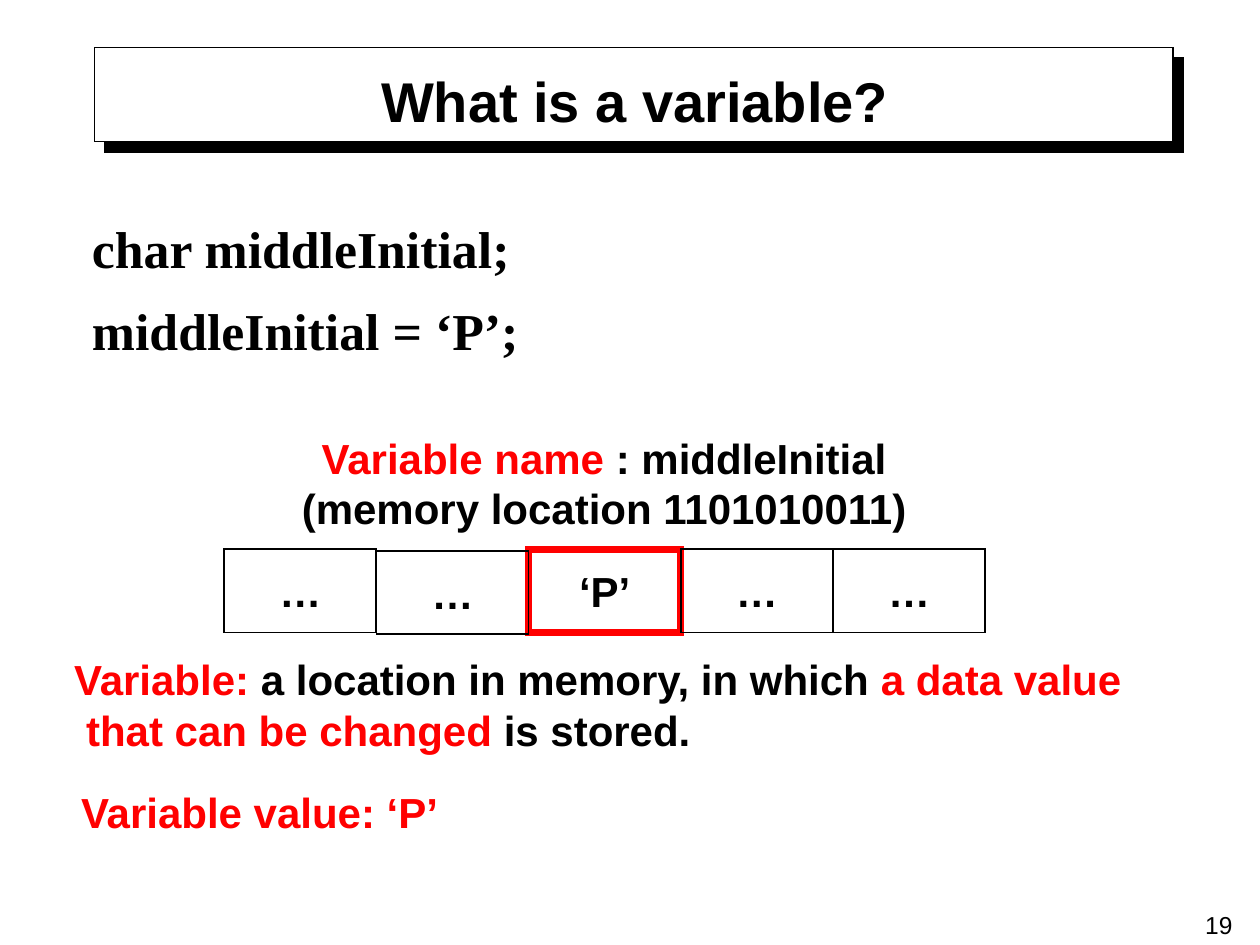
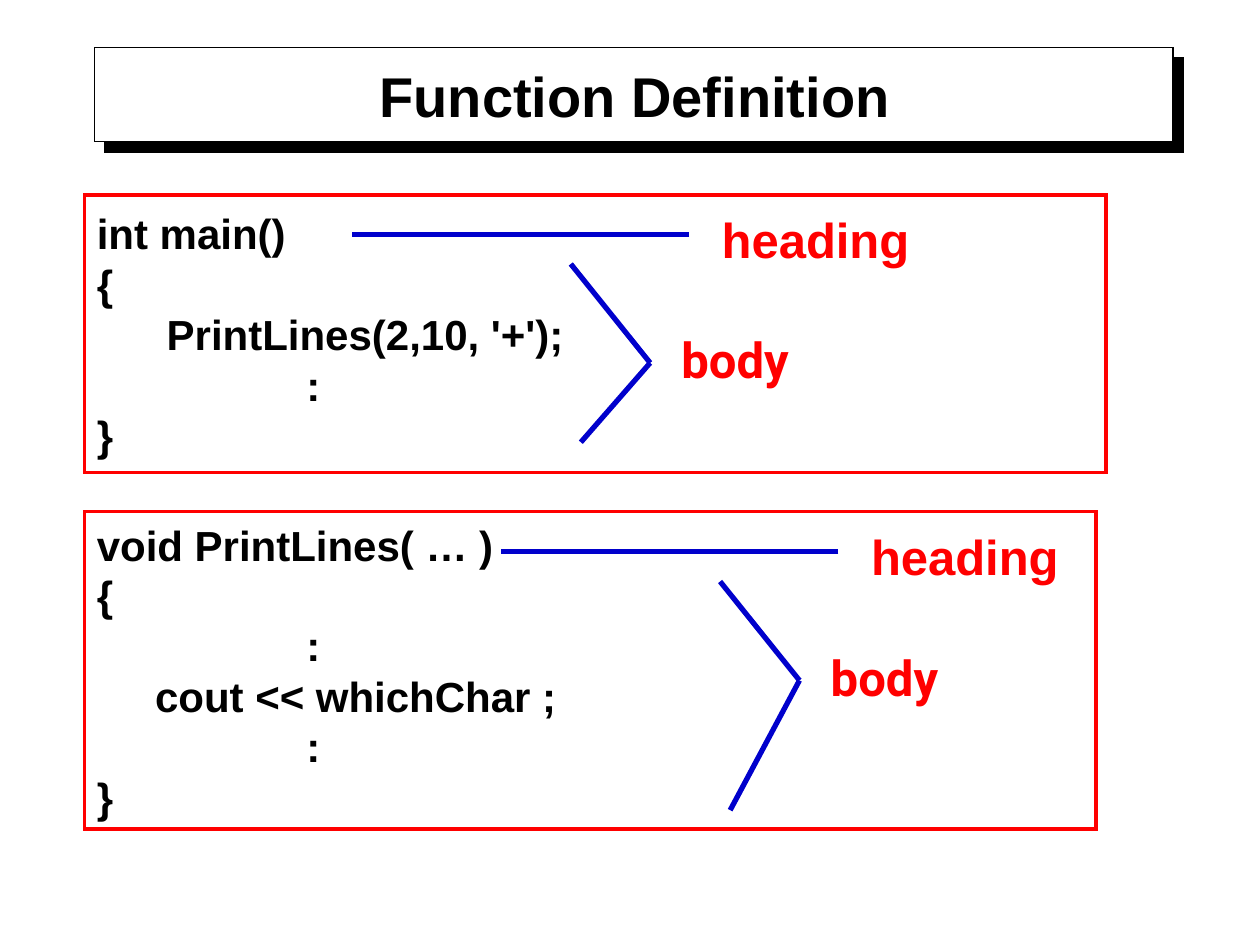
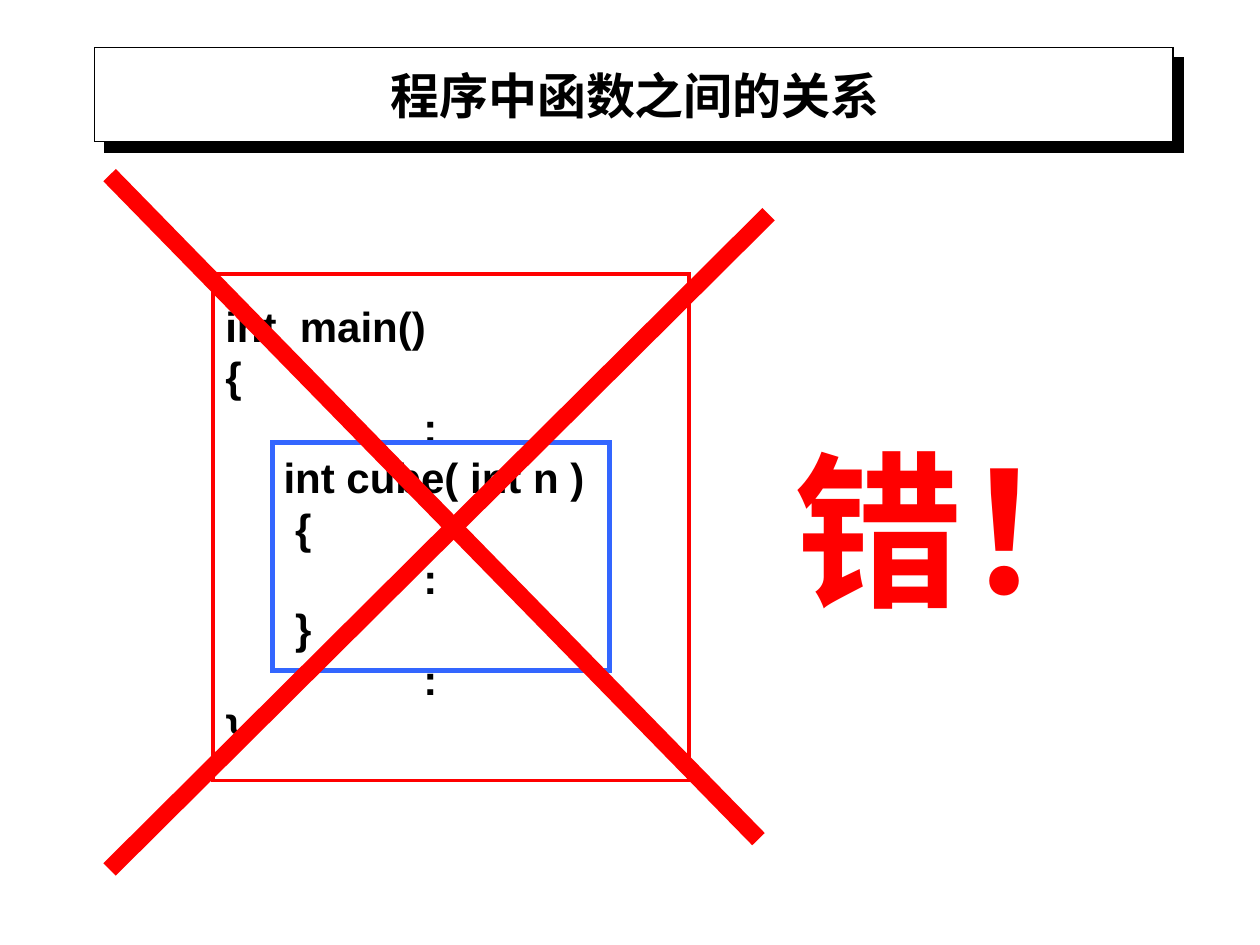
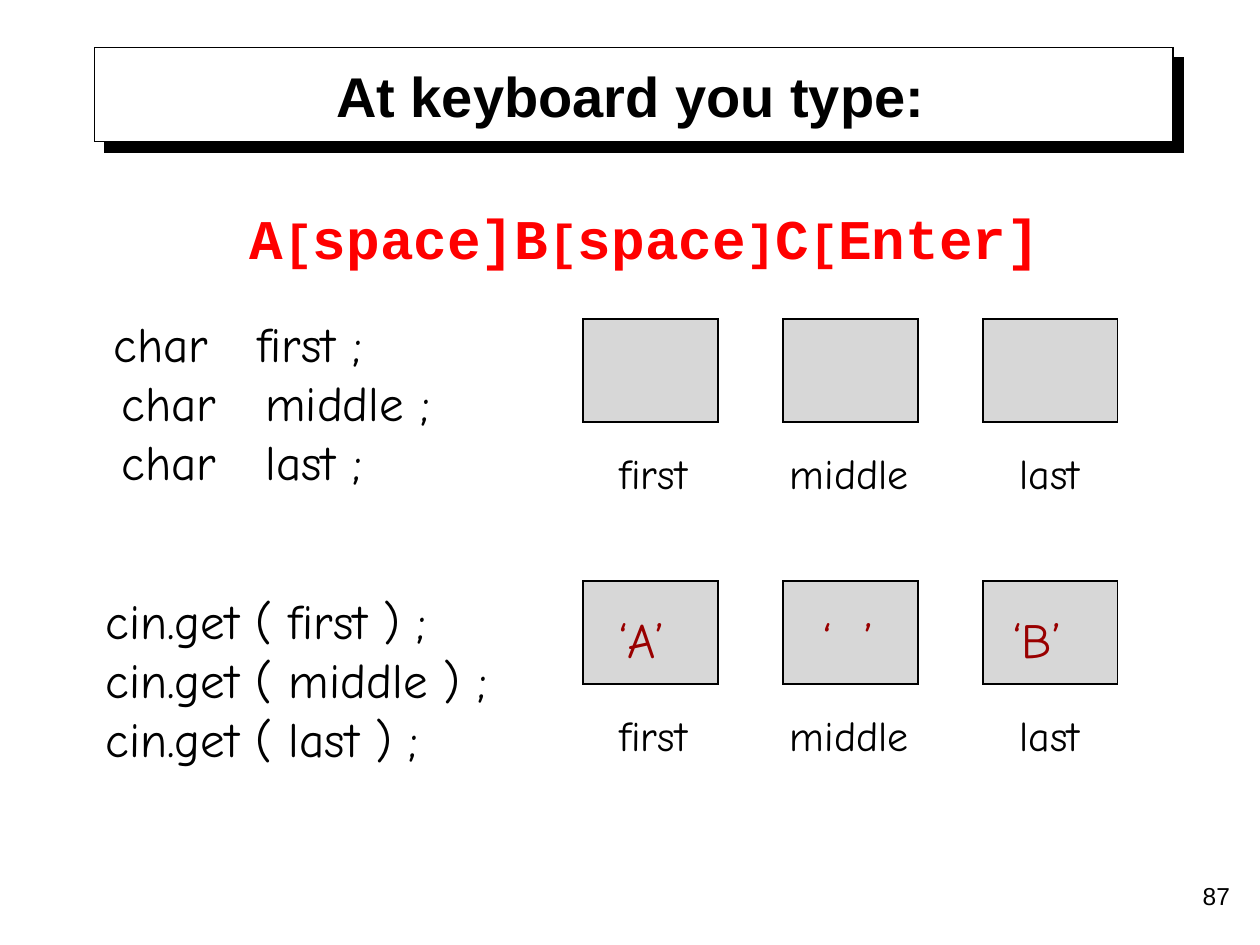
from dataclasses import dataclass, field, replace
from typing import NamedTuple, Optional

import lxml.etree
import pptx
import pptx.dml.color
import pptx.enum.shapes
import pptx.enum.text
import pptx.oxml.ns
import pptx.util

ALIGN = pptx.enum.text.PP_ALIGN
ANCHOR = pptx.enum.text.MSO_ANCHOR
FIT = pptx.enum.text.MSO_AUTO_SIZE
RECT = pptx.enum.shapes.MSO_SHAPE.RECTANGLE
STRAIGHT = pptx.enum.shapes.MSO_CONNECTOR.STRAIGHT
Pt = pptx.util.Pt

COLS, ROWS = 100, 75  # square grid laid over the slide
CELL = pptx.util.Inches(0.1)


@dataclass(frozen=True)
class Style:
    size: float = 24
    color: str = "000000"
    font: str = "Arial"
    bold: bool = True


@dataclass(frozen=True)
class Theme:
    ink: str = "000000"
    paper: str = "FFFFFF"
    red: str = "FF0000"
    blue: str = "0000CC"
    light_blue: str = "3366FF"
    grey: str = "808080"
    text: Style = Style()
    accent: Style = Style(color="FF0000")
    title: Style = Style(32)
    title_cjk: Style = Style(28)
    number: Style = Style(14, bold=False)
    statement: Style = Style(29.6, font="Times New Roman")
    heading: Style = Style(28, "FF0000")
    body: Style = Style(28, "FF0000", "Roboto")
    verdict: Style = Style(96, "FF0000")
    hand: Style = Style(28, font="Comic Neue", bold=False)
    hand_indent: Style = Style(28, font="Times New Roman", bold=False)
    hand_label: Style = Style(24, font="Comic Neue", bold=False)
    hand_value: Style = Style(28, "990000", "Comic Neue", False)
    keys: Style = Style(32, "FF0000", "Courier New")


T = Theme()
BRACKET = replace(T.keys, size=28)


class Box(NamedTuple):
    """Left, top, width and height in grid cells."""
    x: float
    y: float
    w: float
    h: float


class Point(NamedTuple):
    x: float
    y: float


class Run(NamedTuple):
    text: str
    style: Style


@dataclass
class Para:
    runs: list[Run]
    before: float = 0
    indent: float = 0
    hanging: float = 0
    spacing: Optional[float] = None


@dataclass
class TextFormat:
    align: Optional[ALIGN] = None
    frame: dict = field(default_factory=dict)


CENTER = TextFormat(ALIGN.CENTER, {"vertical_anchor": ANCHOR.MIDDLE, "word_wrap": False})
CODE = TextFormat(ALIGN.LEFT, {"vertical_anchor": ANCHOR.MIDDLE, "word_wrap": False})
GROWING = TextFormat(ALIGN.LEFT, {"word_wrap": True, "auto_size": FIT.SHAPE_TO_FIT_TEXT})
LABEL = TextFormat(ALIGN.LEFT, {"word_wrap": False, "auto_size": FIT.SHAPE_TO_FIT_TEXT})
NUMBER = TextFormat(ALIGN.RIGHT, {"word_wrap": True})


def cells(*values: float) -> list[int]:
    return [round(v * CELL) for v in values]


def rgb(color: str) -> pptx.dml.color.RGBColor:
    return pptx.dml.color.RGBColor.from_string(color)


def child(parent, tag: str, **attrs):
    return lxml.etree.SubElement(parent, pptx.oxml.ns.qn(tag), attrs)


def lines(text: str, style: Style) -> list[Para]:
    """One paragraph for each line of the text."""
    return [Para([Run(line, style)]) for line in text.split("\n")]


def write(tf, paras: list[Para], fmt: TextFormat) -> None:
    for name, value in fmt.frame.items():
        setattr(tf, name, value)
    for i, para in enumerate(paras):
        p = tf.add_paragraph() if i else tf.paragraphs[0]
        pPr = p._p.get_or_add_pPr()
        pPr.set("marL", str(cells(para.indent)[0]))
        pPr.set("indent", str(cells(-para.hanging)[0]))
        child(pPr, "a:buNone")
        formats = {"alignment": fmt.align, "space_before": Pt(para.before),
                   "line_spacing": para.spacing}
        for name, value in formats.items():
            setattr(p, name, value)
        for run in para.runs:
            r = p.add_run()
            r.text = run.text
            style = run.style
            for name, value in {"size": Pt(style.size), "name": style.font,
                                "bold": style.bold}.items():
                setattr(r.font, name, value)
            r.font.color.rgb = rgb(style.color)


def add_text(s, box: Box, paras: list[Para], fmt: TextFormat) -> None:
    write(s.shapes.add_textbox(*cells(*box)).text_frame, paras, fmt)


def add_rect(s, box: Box, line: str, width: float, fill: Optional[str] = None,
             opacity: int = 100):
    """Sharp-cornered rectangle, hollow unless a fill is given."""
    sp = s.shapes.add_shape(RECT, *cells(*box))
    sp.shadow.inherit = False
    sp.line.color.rgb = rgb(line)
    sp.line.width = Pt(width)
    child(sp._element.spPr.find(pptx.oxml.ns.qn("a:ln")), "a:miter", lim="800000")
    if fill is None:
        sp.fill.background()
    else:
        sp.fill.solid()
        sp.fill.fore_color.rgb = rgb(fill)
        if opacity < 100:
            color = sp._element.spPr.find(".//" + pptx.oxml.ns.qn("a:srgbClr"))
            child(color, "a:alpha", val=str(opacity * 1000))
    return sp


def add_line(s, start: Point, end: Point, color: str, width: float) -> None:
    line = s.shapes.add_connector(STRAIGHT, *cells(*start, *end))
    line.line.color.rgb = rgb(color)
    line.line.width = Pt(width)
    child(line._element.spPr, "a:effectLst")


def place(sp, box: Box) -> None:
    for name, value in zip(("left", "top", "width", "height"), cells(*box)):
        setattr(sp, name, value)


def add_slide(prs, layout: int, box: Box, title: list[Para], anchor: ANCHOR):
    s = prs.slides.add_slide(prs.slide_layouts[layout])
    place(s.shapes.title, box)
    frame = {"vertical_anchor": anchor, "word_wrap": True, "auto_size": FIT.NONE}
    write(s.shapes.title.text_frame, title, TextFormat(ALIGN.CENTER, frame))
    return s


def add_title_band(prs, s) -> None:
    """Draw the shadowed band and move it to the master, behind every title."""
    band = add_rect(s, Box(7.5, 3.75, 85.6, 7.5), T.ink, 0.75, T.paper)
    effects = band._element.spPr.find(pptx.oxml.ns.qn("a:effectLst"))
    shadow = child(effects, "a:outerShdw", blurRad="0", dist=str(Pt(8.5)),
                   dir=str(45 * 60000), algn="tl", rotWithShape="0")
    child(shadow, "a:srgbClr", val=T.ink)
    prs.slide_master.element.cSld.spTree.insert(2, band._element)


def variable_slide(prs) -> None:
    s = add_slide(prs, 1, Box(7.5, 4.4, 85.8, 7.1),
                  lines("What is a variable?", T.title), ANCHOR.MIDDLE)
    add_title_band(prs, s)
    add_text(s, Box(75.5, 71.7, 23.3, 5.2), lines("19", T.number), NUMBER)

    body = s.placeholders[1]
    place(body, Box(6.3, 16.2, 85.4, 13.4))
    statements = ("char middleInitial;", "middleInitial = ‘P’;")
    write(body.text_frame,
          [Para([Run(text, T.statement)], 8 if i else 0, 3.8, 3.8, 1.1)
           for i, text in enumerate(statements)],
          TextFormat(ALIGN.LEFT, {"auto_size": FIT.NONE}))

    memory = ("…", "…", "‘P’", "…", "…")
    width, lowered, variable = 12.08, 1, 2
    for i in (variable, lowered, 3, 4, 0):
        color, weight = (T.red, 4) if i == variable else (T.ink, 1)
        top = 43.75 if i == lowered else 43.6
        sp = add_rect(s, Box(17.8 + i * width, top, width, 6.6), color, weight)
        write(sp.text_frame, lines(memory[i], T.text), CENTER)

    add_text(s, Box(22.6, 33.6, 50.7, 9.4), [
        Para([Run("Variable name", T.accent), Run(" : middleInitial", T.text)]),
        Para([Run("(memory location 1101010011)", T.text)])], CENTER)
    add_text(s, Box(4.9, 52.4, 86, 7), [
        Para([Run("Variable: ", T.accent),
              Run("a location in memory, in which ", T.text),
              Run("a data value", T.accent)]),
        Para([Run("that can be changed", T.accent), Run(" is stored.", T.text)],
             indent=0.95)], CODE)
    add_text(s, Box(4.7, 61.7, 31.8, 5.5), lines("Variable value: ‘P’", T.accent), CENTER)


class FunctionPanel(NamedTuple):
    box: Box
    code: str
    pointer: Point  # left end of the heading line
    brace_foot: float


PANELS = (
    FunctionPanel(Box(6.7, 15.5, 81.1, 22), """int main()
{
      PrintLines(2,10, '+');
                  :
}""", Point(27.9, 18.6), 35.1),
    FunctionPanel(Box(6.7, 40.6, 80.3, 25.2), """void PrintLines( … )
{
                  :
     cout << whichChar ;
                  :
}""", Point(39.75, 43.8), 64.3),
)


def add_function_panel(s, panel: FunctionPanel) -> None:
    x, y = panel.pointer
    tip = Point(x + 23.7, y + 10.2)
    for start, end in ((Point(x + 26.8, y), panel.pointer),
                       (Point(x + 17.4, y + 2.35), tip),
                       (tip, Point(x + 18.2, panel.brace_foot))):
        add_line(s, start, end, T.blue, 3)
    add_text(s, Box(x + 25.2, y + 7.1, 12.6, 5.7), lines("body", T.body), GROWING)
    add_text(s, Box(x + 28.4, y - 2.5, 17.3, 5.7), lines("heading", T.heading), GROWING)
    sp = add_rect(s, panel.box, T.red, 2)
    write(sp.text_frame, lines(panel.code, T.text), CODE)


def definition_slide(prs) -> None:
    s = add_slide(prs, 5, Box(7.5, 3.6, 85.8, 7.1),
                  lines("Function Definition", T.title), ANCHOR.BOTTOM)
    for panel in PANELS:
        add_function_panel(s, panel)


NESTED_CODE = """int  main()
{
                 :
     int cube( int n )
      {
                 :
      }
                 :
}"""


def nesting_slide(prs) -> None:
    s = add_slide(prs, 5, Box(7.5, 4.5, 85.8, 5.9),
                  lines("程序中函数之间的关系", T.title_cjk), ANCHOR.BOTTOM)
    outer = add_rect(s, Box(16.9, 21.75, 37.8, 40.2), T.red, 2)
    write(outer.text_frame, lines(NESTED_CODE, T.text), CODE)
    add_rect(s, Box(21.6, 35.1, 26.8, 18.1), T.light_blue, 3)
    for start, end in ((Point(8.7, 13.9), Point(60.2, 66.6)),
                       (Point(61, 17), Point(8.7, 69))):
        add_line(s, start, end, T.red, 10)
    add_text(s, Box(59.4, 32.8, 33.9, 18.1), lines("错！", T.verdict), CENTER)


class Slot(NamedTuple):
    """A named memory cell; lefts are where its label boxes start."""
    name: str
    name_left: float
    name_width: float
    value: str
    value_left: float
    value_width: float


SLOTS = (Slot("first", 48.2, 7.4, "‘A’", 48.1, 5.7),
         Slot("middle", 61.7, 11.5, "‘  ’", 64.3, 6.1),
         Slot("last", 79.9, 6.8, "‘B’", 79.4, 5.9))


def add_slots(s, top: float, filled: bool) -> None:
    for i, slot in enumerate(SLOTS):
        add_rect(s, Box(46.3 + i * 15.85, top, 10.7, 8.2), T.ink, 1, T.grey, 31)
        add_text(s, Box(slot.name_left, top + 9.75, slot.name_width, 5),
                 lines(slot.name, T.hand_label), LABEL)
        if filled:
            add_text(s, Box(slot.value_left, top + 1.8, slot.value_width, 5.7),
                     lines(slot.value, T.hand_value), LABEL)


def keyboard_slide(prs) -> None:
    keys = [Run(text, BRACKET if text in "[]" else T.keys)
            for text in ("A", "[", "space]B", "[", "space", "]", "C", "[", "Enter]")]
    title = lines("At keyboard you type:", T.title) + [Para(keys, before=43, indent=2.3)]
    s = add_slide(prs, 5, Box(1.7, 6.1, 96.7, 14.2), title, ANCHOR.MIDDLE)
    add_text(s, Box(77.8, 69.4, 20.8, 5), lines("87", T.number), NUMBER)

    declarations = [Para([Run("  ", T.hand_indent), Run("char   first ;", T.hand)])]
    declarations += lines("  char   middle ;\n  char   last ;", T.hand)
    reads = lines(" cin.get ( first ) ;\n cin.get ( middle ) ;\n cin.get ( last ) ;", T.hand)
    reads[0].before = 57.5
    add_text(s, Box(6.1, 24.4, 90.2, 41.7), declarations + reads, GROWING)
    add_slots(s, 25.3, filled=False)
    add_slots(s, 46.1, filled=True)


def main() -> None:
    prs = pptx.Presentation()
    prs.slide_width, prs.slide_height = COLS * CELL, ROWS * CELL
    for build in (variable_slide, definition_slide, nesting_slide, keyboard_slide):
        build(prs)
    prs.save("out.pptx")


if __name__ == "__main__":
    main()
